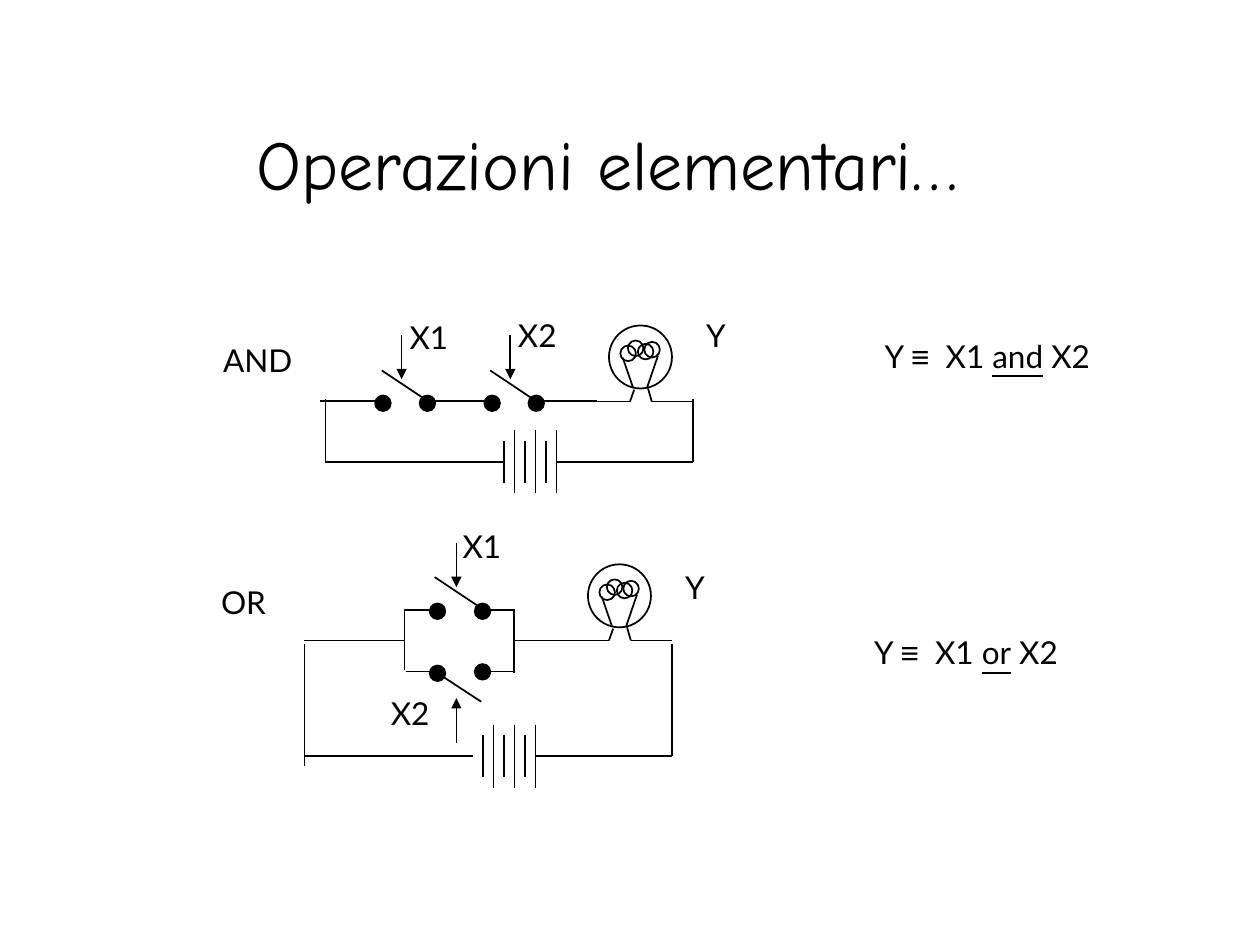
from lxml import etree
from pptx import Presentation
from pptx.dml.color import RGBColor
from pptx.enum.shapes import MSO_CONNECTOR as CONN, MSO_SHAPE as SHAPE
from pptx.enum.text import MSO_ANCHOR as ANCHOR, PP_ALIGN as ALIGN
from pptx.oxml.ns import qn
from pptx.util import Pt

COLORS = {"ink": "000000", "paper": "FFFFFF"}
INK = RGBColor.from_string(COLORS["ink"])

prs = Presentation()
prs.slide_width, prs.slide_height = Pt(720), Pt(540)
s = prs.slides.add_slide(prs.slide_layouts[5])


def add_line(x1, y1, x2, y2, arrow=False):
    c = s.shapes.add_connector(CONN.STRAIGHT, Pt(x1), Pt(y1), Pt(x2), Pt(y2))
    c.line.color.rgb = INK
    c.line.width = Pt(1)
    etree.SubElement(c._element.spPr, qn("a:effectLst"))
    if arrow:
        ln = c.line._get_or_add_ln()
        etree.SubElement(ln, qn("a:tailEnd"), type="triangle")


def add_circle(x, y, size, fill=None):
    sp = s.shapes.add_shape(SHAPE.OVAL, Pt(x), Pt(y), Pt(size), Pt(size))
    sp.shadow.inherit = False
    sp.line.color.rgb = INK
    sp.line.width = Pt(1)
    if fill:
        sp.fill.solid()
        sp.fill.fore_color.rgb = RGBColor.from_string(COLORS[fill])
    else:
        sp.fill.background()


title = s.shapes.title
title.left, title.top, title.width, title.height = Pt(54), Pt(48), Pt(612), Pt(90)
tf = title.text_frame
tf.text = "Operazioni elementari…"
tf.vertical_anchor = ANCHOR.MIDDLE
tf.margin_right = Pt(33)
p = tf.paragraphs[0]
p.alignment = ALIGN.CENTER
p.runs[0].font.name = "Comic Neue"
p.runs[0].font.size = Pt(40)
p.runs[0].font.color.rgb = INK

and_wires = [
    (182.9, 229, 217.4, 229), (218.2, 211.7, 244.1, 229),
    (244.8, 229, 279.4, 229), (280.1, 211.7, 306, 229),
    (306.7, 229, 341.3, 229),
    (396, 228, 396, 264), (396, 264, 318, 264),
    (288, 264, 186, 264), (186, 264, 186, 228),
]
or_wires = [
    (174, 366, 231.1, 366), (231.1, 348.5, 231.1, 383),
    (231.8, 383.8, 248.4, 383.8), (249.8, 384.5, 275, 401),
    (276.5, 383.8, 293.8, 383.8), (293.8, 384.5, 293.8, 347.8),
    (293.8, 348.5, 275, 348.5), (276.5, 348.5, 248.4, 329.8),
    (249.1, 348.5, 231.1, 348.5), (293.8, 366, 328.3, 366),
    (384, 368, 384, 432), (384, 432, 306, 432),
    (270, 432, 174, 432), (174, 438, 174, 368),
]
for wire in and_wires + or_wires:
    add_line(*wire)

for x, start, end in [(229.5, 191.5, 216.7), (291.6, 191.5, 216.7),
                      (260.8, 310.3, 335.5), (260.8, 424.8, 398.9)]:
    add_line(x, start, x, end, arrow=True)

contacts = [(214.4, 226), (239.8, 226), (276.8, 226), (302, 226),
            (245.6, 344.9), (245.6, 380.3), (271.3, 379.5), (271.3, 344.9)]
for x, y in contacts:
    add_circle(x, y, 8.9, "ink")

filament = [(6.5, 11.5), (16.5, 10.5), (20.2, 9.4), (10.8, 8.6)]
lamp_wires = [
    (7.9, 18.5, 13.7, 35.3), (28, 17.3, 21.6, 36),
    (14.4, 36.7, 12, 43.5), (22.3, 36, 24.5, 43.5),
    (24.5, 43.5, 48, 43.5), (12, 43.5, -12, 43.5),
]
for left, top in [(348, 186), (336, 322.5)]:
    add_circle(left, top, 36, "paper")
    for x, y in filament:
        add_circle(left + x, top + y, 8.9)
    for x1, y1, x2, y2 in lamp_wires:
        add_line(left + x1, top + y1, left + x2, top + y2)

for right, middle in [(318, 264), (306, 432)]:
    for i in range(6):
        x, half = right - 6 * i, 12 if i % 2 else 18
        add_line(x, middle - half, x, middle + half)

labels = [
    ("AND", 126, 188.5, 71), ("OR", 124.8, 326.5, 59),
    ("X1", 232.5, 175.5, 43), ("X2", 294.5, 174, 43),
    ("X1", 262.8, 294.5, 43), ("X2", 221.8, 390, 43),
    ("Y", 402, 174, 43), ("Y", 390, 318, 43),
    ("Y |≡|  X1 |and| X2", 504, 186, 125), ("Y |≡|  X1 |or| X2", 498, 355.5, 125),
]
for text, x, y, width in labels:
    tf = s.shapes.add_textbox(Pt(x), Pt(y), Pt(width), Pt(35)).text_frame
    tf.word_wrap = True
    tf.margin_left = tf.margin_right = Pt(1.5)
    tf.margin_top = tf.margin_bottom = Pt(2)
    p = tf.paragraphs[0]
    p.line_spacing = Pt(26)
    for part in text.split("|"):
        r = p.add_run()
        r.text = part
        r.font.name = "Arial" if part == "≡" else "Lato"
        r.font.size = Pt(18)
        r.font.color.rgb = INK
        if part in ("and", "or"):
            r.font.underline = True

prs.save("out.pptx")
